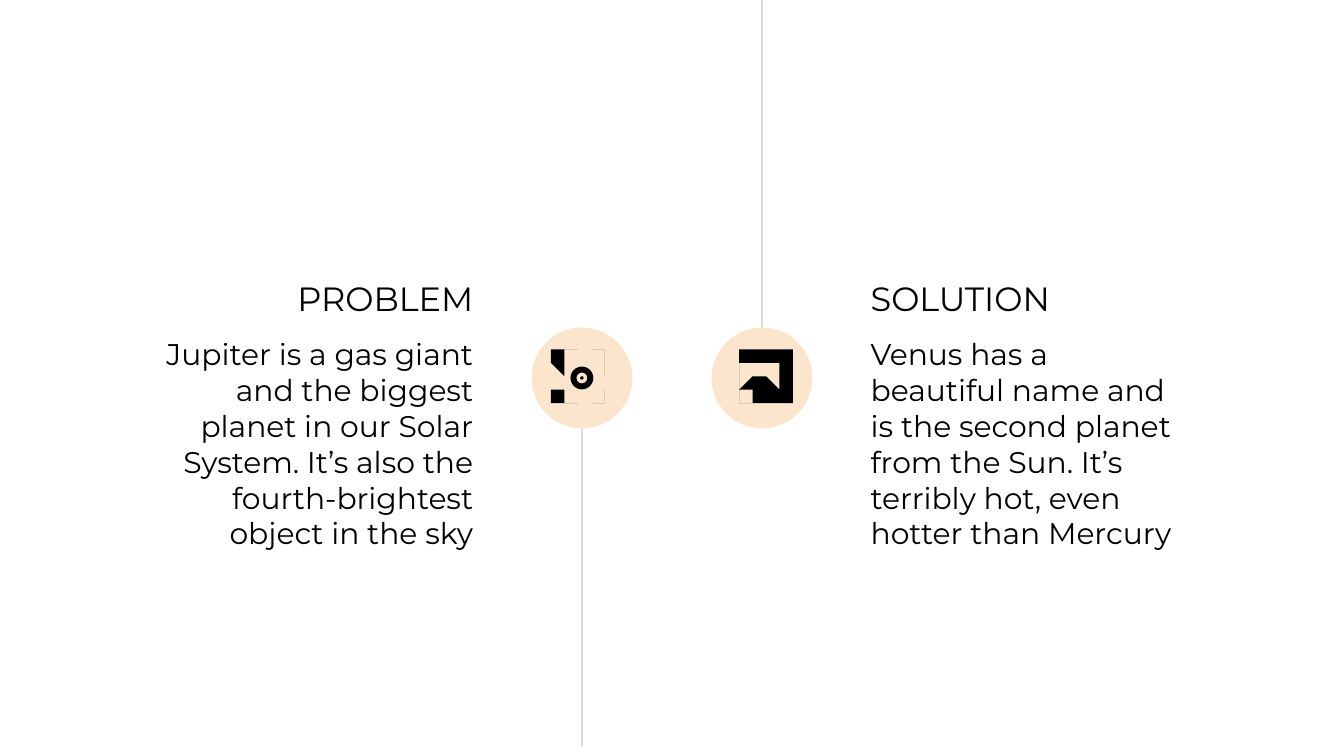
"""Build the problem and solution slide on a grid of 100 columns."""
from dataclasses import dataclass
from itertools import product
from math import cos, pi, sin

from lxml.etree import SubElement
from pptx import Presentation
from pptx.dml.color import RGBColor
from pptx.enum.shapes import MSO_CONNECTOR, MSO_SHAPE
from pptx.enum.text import MSO_ANCHOR, PP_ALIGN
from pptx.oxml.ns import qn
from pptx.shapes.autoshape import Shape
from pptx.slide import Slide
from pptx.util import Inches, Pt

COLUMNS, ROWS = 100, 56.25
CELL = Inches(0.1)
MIDDLE_ROW = ROWS / 2
BADGE_SIZE = 7.5
ICON_HALF = 1.9
FONT = "Montserrat"
INK, PEACH, GREY = "000000", "FCE5CD", "D9D9D9"

Point = tuple[float, float]


@dataclass
class Topic:
    """One side of the slide, with its text edge and badge centre in columns."""
    heading: str
    body: str
    text_edge: float
    align: PP_ALIGN
    badge_column: float
    stem_rows: Point


TOPICS = [
    Topic("PROBLEM",
          "Jupiter is a gas giant and the biggest planet in our Solar System. "
          "It’s also the fourth-brightest object in the sky",
          36.2, PP_ALIGN.RIGHT, 43.3, (MIDDLE_ROW + BADGE_SIZE / 2, 55.5)),
    Topic("SOLUTION",
          "Venus has a beautiful name and is the second planet from the Sun. "
          "It’s terribly hot, even hotter than Mercury",
          63.8, PP_ALIGN.LEFT, 56.7, (-1.1, MIDDLE_ROW - BADGE_SIZE / 2)),
]


def cells(count: float) -> int:
    """Turn grid cells into slide units."""
    return round(count * CELL)


def rgb(hex_code: str) -> RGBColor:
    """Turn a hex string into a colour."""
    return RGBColor.from_string(hex_code)


def paint(shape: Shape, hex_code: str) -> None:
    """Give a shape a flat fill without outline or shadow."""
    shape.shadow.inherit = False
    shape.fill.solid()
    shape.fill.fore_color.rgb = rgb(hex_code)
    shape.line.fill.background()


def add_text(slide: Slide, topic: Topic, wording: str, top: float, width: float,
             height: float, size: int, anchor: MSO_ANCHOR) -> None:
    """Write a text against the inner edge of its topic."""
    left = topic.text_edge - (width if topic.align == PP_ALIGN.RIGHT else 0)
    frame = slide.shapes.add_textbox(
        cells(left), cells(top), cells(width), cells(height)).text_frame
    frame.word_wrap = True
    frame.vertical_anchor = anchor
    frame.margin_left = frame.margin_right = cells(1)
    frame.margin_top = frame.margin_bottom = cells(1)
    frame.text = wording
    paragraph = frame.paragraphs[0]
    paragraph.alignment = topic.align
    font = paragraph.runs[0].font
    font.name, font.size, font.color.rgb = FONT, Pt(size), rgb(INK)


def add_stem(slide: Slide, column: float, rows: Point) -> None:
    """Draw the vertical line that leads to a badge."""
    start, end = rows
    stem = slide.shapes.add_connector(
        MSO_CONNECTOR.STRAIGHT, cells(column), cells(start), cells(column), cells(end))
    stem.line.color.rgb = rgb(GREY)
    stem.line.width = Pt(0.75)
    SubElement(stem._element.spPr, qn("a:effectLst"))


def add_round(slide: Slide, kind: MSO_SHAPE, column: float, size: float,
              hex_code: str) -> Shape:
    """Draw a round shape centred on the middle row."""
    disc = slide.shapes.add_shape(
        kind, cells(column - size / 2), cells(MIDDLE_ROW - size / 2), cells(size), cells(size))
    paint(disc, hex_code)
    return disc


def add_outline(slide: Slide, column: float, contours: list[list[Point]]) -> None:
    """Draw closed contours given as offsets from a badge centre."""
    first, *holes = [[(column + x, MIDDLE_ROW + y) for x, y in contour]
                     for contour in contours]
    builder = slide.shapes.build_freeform(*first[0], scale=CELL)
    builder.add_line_segments(first[1:], close=True)
    for hole in holes:
        builder.move_to(*hole[0])
        builder.add_line_segments(hole[1:], close=True)
    paint(builder.convert_to_shape(), INK)


def arc(x: float, y: float, radius: float, start: float = 0,
        sweep: float = 2 * pi, steps: int = 20) -> list[Point]:
    """List points along an arc."""
    angles = [start + sweep * step / steps for step in range(steps + 1)]
    return [(x + radius * cos(angle), y + radius * sin(angle)) for angle in angles]


def rounded_square(half: float, radius: float) -> list[Point]:
    """List the points of a square with round corners."""
    inner = half - radius
    corners = [(inner, inner), (-inner, inner), (-inner, -inner), (inner, -inner)]
    return [point for turn, (x, y) in enumerate(corners)
            for point in arc(x, y, radius, turn * pi / 2, pi / 2, 5)]


def add_focus_icon(slide: Slide, column: float) -> None:
    """Draw four corner brackets around a ring with a dot."""
    edge, inside, tip = ICON_HALF, ICON_HALF - 0.25, 0.6
    bracket = [(tip, edge), (edge - 0.1, edge), (edge, edge - 0.1), (edge, tip + 0.1),
               (edge - 0.12, tip), (inside, tip + 0.1), (inside, inside),
               (tip + 0.1, inside), (tip, edge - 0.12)]
    for across, down in product((-1, 1), repeat=2):
        add_outline(slide, column, [[(across * x, down * y) for x, y in bracket]])
    add_round(slide, MSO_SHAPE.OVAL, column, 0.25, INK)
    ring = add_round(slide, MSO_SHAPE.DONUT, column, 1.7, INK)
    ring.adjustments[0] = 0.26


def add_photo_icon(slide: Slide, column: float) -> None:
    """Draw a framed landscape with two small holes below it."""
    sky = [(-1.4, 0.75), (-1.4, -1.25), (-1.25, -1.4), (1.25, -1.4), (1.4, -1.25),
           (1.4, 0.75), (0.52, -0.35), (0.42, -0.42), (0.3, -0.35), (0.2, -0.2),
           (0.35, 0.05), (0.33, 0.18), (0.2, 0.25), (0.07, 0.18), (-0.3, -0.35),
           (-0.4, -0.42), (-0.5, -0.35)]
    add_outline(slide, column, [rounded_square(ICON_HALF, 0.12), sky,
                                *(arc(x, 1.4, 0.22) for x in (-1.15, -0.42))])


def main() -> None:
    """Lay out both topics and save the slide."""
    deck = Presentation()
    deck.slide_width, deck.slide_height = cells(COLUMNS), cells(ROWS)
    slide = deck.slides.add_slide(deck.slide_layouts[6])
    for topic in TOPICS:
        add_text(slide, topic, topic.heading, 19.5, 20.4, 5.2, 18, MSO_ANCHOR.BOTTOM)
        add_text(slide, topic, topic.body, 24, 24.9, 26.9, 16, MSO_ANCHOR.TOP)
    for topic in TOPICS:
        add_stem(slide, topic.badge_column, topic.stem_rows)
    for topic, add_icon in zip(TOPICS, (add_focus_icon, add_photo_icon)):
        add_round(slide, MSO_SHAPE.OVAL, topic.badge_column, BADGE_SIZE, PEACH)
        add_icon(slide, topic.badge_column)
    deck.save("out.pptx")


if __name__ == "__main__":
    main()
